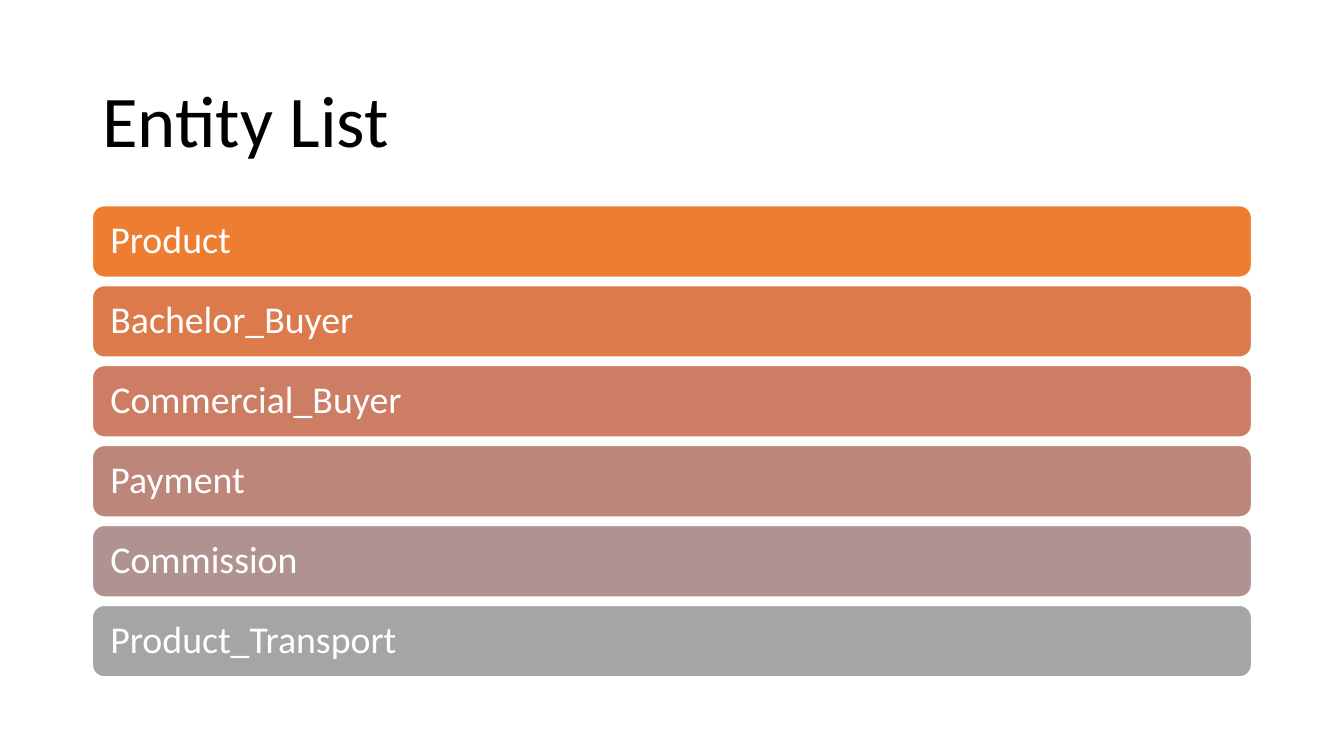
from dataclasses import dataclass

from pptx import Presentation
from pptx.dml import color
from pptx.enum import shapes, text
from pptx import util as u

HUES = {
    "ink": "000000", "paper": "FFFFFF",
    "orange": "ED7D31", "rust": "DC7A4B", "coral": "CC7D64",
    "rose": "BD867B", "mauve": "B09391", "gray": "A5A5A5",
}
FONT = "Calibri"
LEFT, WIDTH = 66, 828
TOP, STEP, TALL = 146.9, 57.1, 51.1


@dataclass
class Entry:
    name: str
    hue: str


ITEMS = [
    Entry("Product", "orange"),
    Entry("Bachelor_Buyer", "rust"),
    Entry("Commercial_Buyer", "coral"),
    Entry("Payment", "rose"),
    Entry("Commission", "mauve"),
    Entry("Product_Transport", "gray"),
]


def tint(hue: str) -> color.RGBColor:
    return color.RGBColor.from_string(HUES[hue])


def label(shape, words: str, size: float, hue: str, inset: float) -> None:
    frame = shape.text_frame
    frame.word_wrap = True
    frame.vertical_anchor = text.MSO_ANCHOR.MIDDLE
    frame.margin_left = frame.margin_right = u.Pt(inset)
    line = frame.paragraphs[0]
    line.alignment = text.PP_ALIGN.LEFT
    line.line_spacing = 0.9
    run = line.add_run()
    run.text = words
    run.font.name = FONT
    run.font.size = u.Pt(size)
    run.font.color.rgb = tint(hue)


def title(slide, words: str) -> None:
    box = slide.shapes.add_textbox(u.Pt(LEFT), u.Pt(43.9), u.Pt(WIDTH), u.Pt(89.3))
    label(box, words, 52, "ink", 7.2)


def bar(slide, item: Entry, top: float) -> None:
    shape = slide.shapes.add_shape(
        shapes.MSO_SHAPE.ROUNDED_RECTANGLE,
        u.Pt(LEFT), u.Pt(top), u.Pt(WIDTH), u.Pt(TALL))
    shape.shadow.inherit = False
    shape.fill.solid()
    shape.fill.fore_color.rgb = tint(item.hue)
    shape.line.color.rgb = tint("paper")
    shape.line.width = u.Pt(1)
    label(shape, item.name, 27, "paper", 10.4)


def main() -> None:
    """Build the entity list slide."""
    deck = Presentation()
    deck.slide_width, deck.slide_height = u.Pt(960), u.Pt(540)
    slide = deck.slides.add_slide(deck.slide_layouts[6])
    title(slide, "Entity List")
    for row, item in enumerate(ITEMS):
        bar(slide, item, TOP + row * STEP)
    deck.save("out.pptx")


if __name__ == "__main__":
    main()
